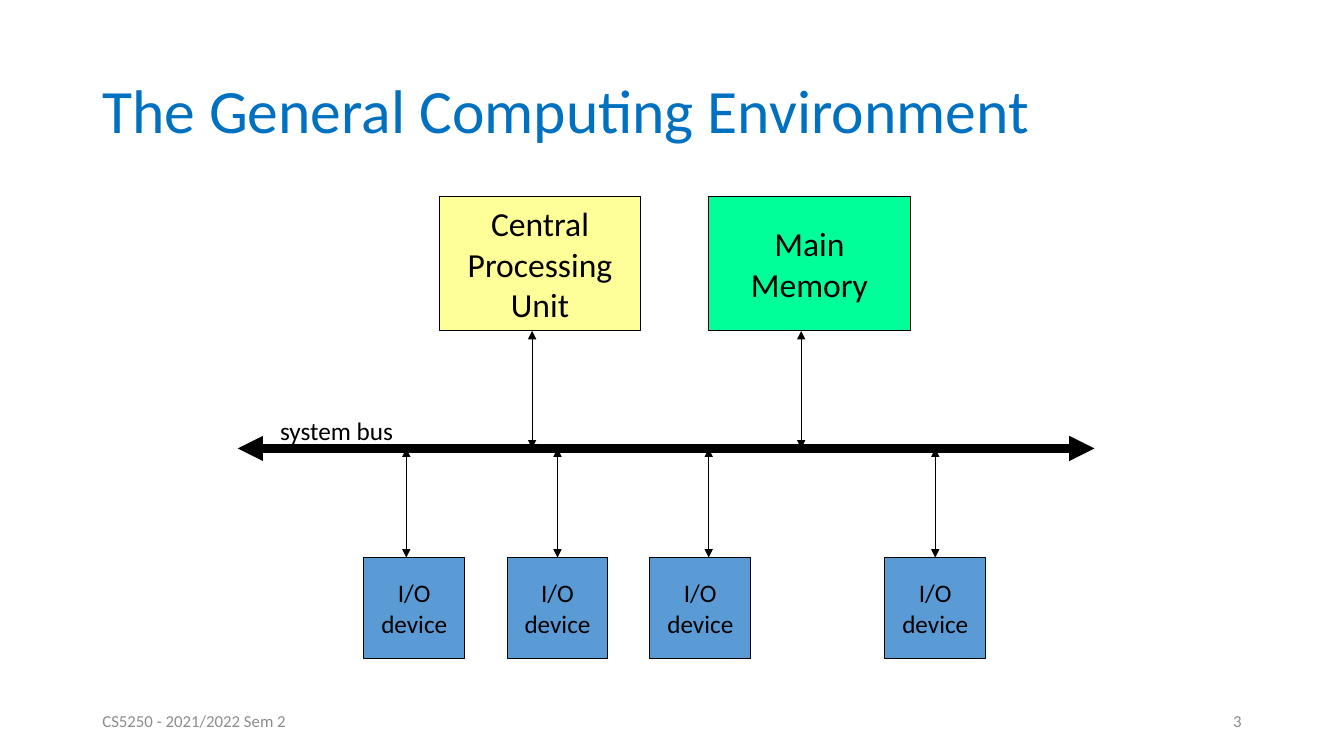
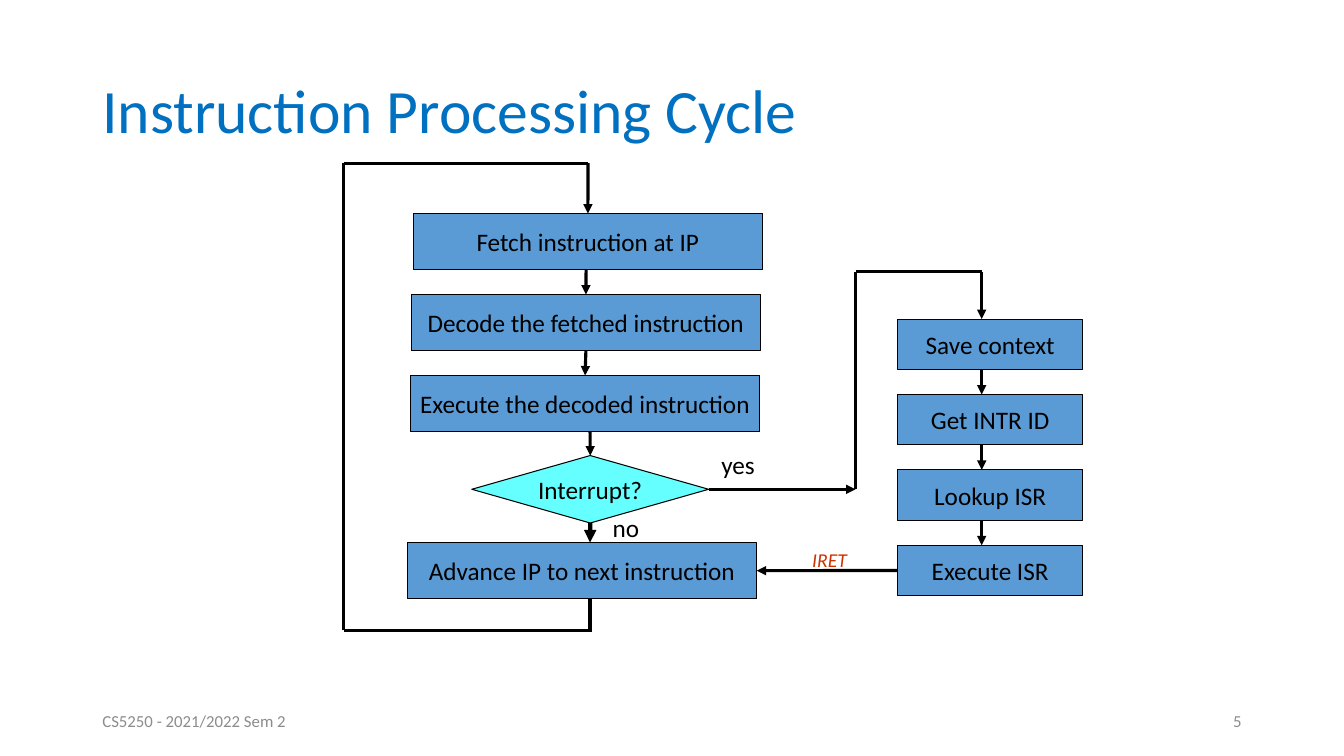
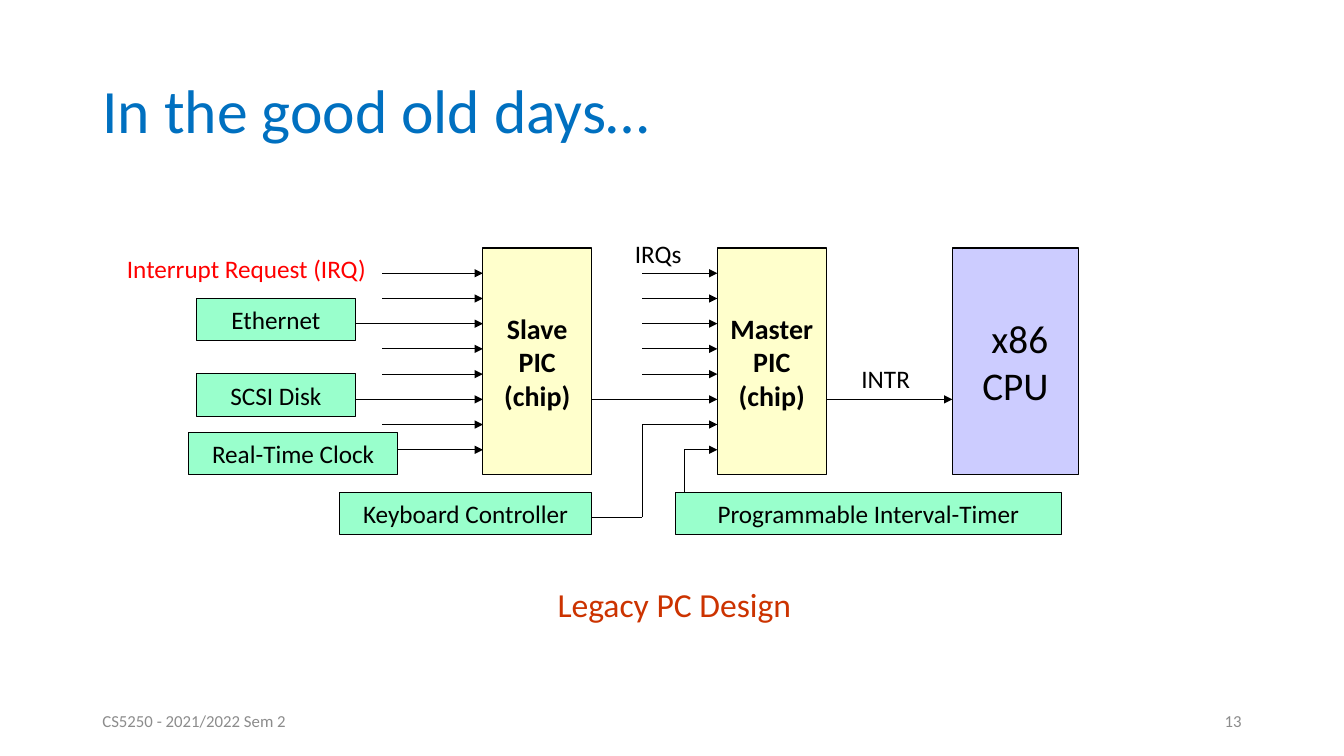
"""Build three slides on computer organisation and interrupt handling."""
from dataclasses import dataclass

from lxml import etree
from pptx import Presentation
from pptx.dml.color import RGBColor
from pptx.enum.shapes import MSO_CONNECTOR, MSO_SHAPE
from pptx.enum.text import MSO_ANCHOR, MSO_AUTO_SIZE, PP_ALIGN
from pptx.oxml.ns import qn
from pptx.presentation import Presentation as Deck
from pptx.shapes.autoshape import Shape
from pptx.shapes.connector import Connector
from pptx.slide import Slide
from pptx.text.text import TextFrame
from pptx.util import Cm, Pt

RECTANGLE = MSO_SHAPE.RECTANGLE
DIAMOND = MSO_SHAPE.DIAMOND
STRAIGHT = MSO_CONNECTOR.STRAIGHT
LEFT, CENTER, RIGHT = PP_ALIGN.LEFT, PP_ALIGN.CENTER, PP_ALIGN.RIGHT
TOP, MIDDLE = MSO_ANCHOR.TOP, MSO_ANCHOR.MIDDLE
FIT_SHAPE = MSO_AUTO_SIZE.SHAPE_TO_FIT_TEXT
SIDE_TOP, SIDE_LEFT, SIDE_BOTTOM, SIDE_RIGHT = range(4)

FONT = "Calibri"
FOOTER = "CS5250 - 2021/2022 Sem 2"
COLORS = {
    "black": "000000",
    "title": "0070C0",
    "footer": "8C8C8C",
    "blue": "5B9BD5",
    "yellow": "FFFF99",
    "green": "00FF99",
    "cyan": "66FFFF",
    "cream": "FFFFCC",
    "lavender": "CCCCFF",
    "mint": "99FFCC",
    "rust": "CC3300",
    "red": "FF0000",
}


@dataclass(frozen=True)
class Style:
    size: float = 18
    color: str = "black"
    bold: bool = False
    italic: bool = False
    align: PP_ALIGN = LEFT
    spacing: float = 1.0


@dataclass(frozen=True)
class Node:
    x: float
    y: float
    width: float
    height: float
    text: str
    fill: str = "blue"
    size: float = 18
    bold: bool = False
    outline: MSO_SHAPE = RECTANGLE


@dataclass(frozen=True)
class Label:
    x: float
    y: float
    width: float
    height: float
    text: str
    style: Style = Style()
    anchor: MSO_ANCHOR = TOP
    wrap: bool = False


@dataclass(frozen=True)
class Link:
    x1: float
    y1: float
    x2: float
    y2: float
    weight: float = 0.75
    head: bool = False
    tail: bool = True


def rgb(name: str) -> RGBColor:
    return RGBColor.from_string(COLORS[name])


def write_text(frame: TextFrame, text: str, style: Style) -> None:
    for index, line in enumerate(text.split("\n")):
        para = frame.add_paragraph() if index else frame.paragraphs[0]
        para.alignment = style.align
        para.line_spacing = style.spacing
        span = para.add_run()
        span.text = line
        span.font.name = FONT
        span.font.size = Pt(style.size)
        span.font.bold = style.bold
        span.font.italic = style.italic
        span.font.color.rgb = rgb(style.color)


def draw_node(page: Slide, node: Node) -> Shape:
    box = page.shapes.add_shape(
        node.outline, Cm(node.x), Cm(node.y), Cm(node.width), Cm(node.height)
    )
    box.shadow.inherit = False
    box.fill.solid()
    box.fill.fore_color.rgb = rgb(node.fill)
    box.line.color.rgb = rgb("black")
    box.line.width = Pt(0.75)
    box.text_frame.word_wrap = False
    box.text_frame.vertical_anchor = MIDDLE
    write_text(box.text_frame, node.text, Style(node.size, bold=node.bold, align=CENTER))
    return box


def draw_label(page: Slide, label: Label) -> None:
    box = page.shapes.add_textbox(
        Cm(label.x), Cm(label.y), Cm(label.width), Cm(label.height)
    )
    frame = box.text_frame
    frame.word_wrap = label.wrap
    frame.vertical_anchor = label.anchor
    if label.anchor == TOP:
        frame.auto_size = FIT_SHAPE
    write_text(frame, label.text, label.style)


def draw_link(page: Slide, link: Link) -> Connector:
    connector = page.shapes.add_connector(
        STRAIGHT, Cm(link.x1), Cm(link.y1), Cm(link.x2), Cm(link.y2)
    )
    connector.line.color.rgb = rgb("black")
    connector.line.width = Pt(link.weight)
    properties = connector.element.spPr
    line = properties.find(qn("a:ln"))
    for tag, shown in (("a:headEnd", link.head), ("a:tailEnd", link.tail)):
        if shown:
            etree.SubElement(line, qn(tag), type="triangle")
    etree.SubElement(properties, qn("a:effectLst"))
    return connector


def add_page(deck: Deck, title: str, number: int) -> Slide:
    page = deck.slides.add_slide(deck.slide_layouts[6])
    heading = Style(44, "title", spacing=0.9)
    small = Style(12, "footer")
    small_right = Style(12, "footer", align=RIGHT)
    for label in (
        Label(2.33, 1.01, 29.21, 3.68, title, heading, MIDDLE, True),
        Label(2.33, 17.65, 7.62, 1.01, FOOTER, small, MIDDLE, True),
        Label(23.92, 17.65, 7.62, 1.01, str(number), small_right, MIDDLE, True),
    ):
        draw_label(page, label)
    return page


def build_environment(deck: Deck) -> None:
    page = add_page(deck, "The General Computing Environment", 3)
    bus_y, unit_y, unit_height, device_y = 11.3, 4.95, 3.39, 14.05

    for x, text, fill, arrow_x in (
        (11.07, "Central\nProcessing\nUnit", "yellow", 13.41),
        (17.86, "Main\nMemory", "green", 20.19),
    ):
        draw_node(page, Node(x, unit_y, 5.08, unit_height, text, fill, 24))
        draw_link(page, Link(arrow_x, unit_y + unit_height, arrow_x, bus_y, head=True))

    for x, arrow_x, centred in (
        (9.17, 10.24, False),
        (12.78, 14.05, True),
        (16.38, 17.86, False),
        (22.3, 23.57, True),
    ):
        device = draw_node(page, Node(x, device_y, 2.54, 2.54, "I/O\ndevice"))
        arrow = draw_link(page, Link(arrow_x, bus_y, arrow_x, device_y, head=True))
        if centred:
            arrow.end_connect(device, SIDE_TOP)

    draw_link(page, Link(5.99, bus_y, 27.58, bus_y, 6, head=True))
    draw_label(page, Label(6.81, 10.34, 3.73, 1.02, "system bus"))


def build_cycle(deck: Deck) -> None:
    page = add_page(deck, "Instruction Processing Cycle", 5)
    weight, heavy = 2.25, 3
    loop_x, loop_top, loop_bottom = 8.66, 4.11, 15.88
    branch_x, branch_top, routine_x = 21.56, 6.85, 24.74
    decision_x, decision_y = 14.87, 12.33

    fetch, decode, execute, advance = [
        draw_node(page, Node(x, y, 8.81, 1.42, text))
        for x, y, text in (
            (10.41, 5.38, "Fetch instruction at IP"),
            (10.36, 7.42, "Decode the fetched instruction"),
            (10.34, 9.46, "Execute the decoded instruction"),
            (10.26, 13.67, "Advance IP to next instruction"),
        )
    ]
    decision = draw_node(
        page, Node(11.89, 11.48, 5.97, 1.7, "Interrupt?", "cyan", outline=DIAMOND)
    )

    draw_link(page, Link(14.82, loop_top, 14.82, 5.38, weight)).end_connect(fetch, SIDE_TOP)
    draw_link(page, Link(14.77, 6.8, 14.77, 7.42, weight)).end_connect(decode, SIDE_TOP)
    to_execute = draw_link(page, Link(14.77, 8.84, 14.75, 9.46, weight))
    to_execute.begin_connect(decode, SIDE_BOTTOM)
    to_execute.end_connect(execute, SIDE_TOP)
    to_decision = draw_link(page, Link(decision_x, 10.88, decision_x, 11.48, weight))
    to_decision.end_connect(decision, SIDE_TOP)
    no_branch = draw_link(page, Link(decision_x, 13.18, decision_x, 13.67, heavy))
    no_branch.begin_connect(decision, SIDE_BOTTOM)
    yes_branch = draw_link(page, Link(17.86, decision_y, branch_x, decision_y, weight))
    yes_branch.begin_connect(decision, SIDE_RIGHT)

    for x1, y1, x2, y2, width in (
        (decision_x, 15.09, decision_x, 15.92, heavy),
        (decision_x, loop_bottom, loop_x, loop_bottom, weight),
        (loop_x, loop_bottom, loop_x, loop_top, weight),
        (loop_x, loop_top, 14.82, loop_top, weight),
        (branch_x, decision_y, branch_x, branch_top, weight),
        (branch_x, branch_top, routine_x, branch_top, weight),
    ):
        draw_link(page, Link(x1, y1, x2, y2, width, tail=False))

    step_top, step_height, pitch = 8.04, 1.27, 1.9
    arrow_start = branch_top
    for index, text in enumerate(
        ("Save context", "Get INTR ID", "Lookup ISR", "Execute ISR")
    ):
        y = step_top + pitch * index
        step = draw_node(page, Node(22.63, y, 4.65, step_height, text))
        draw_link(page, Link(routine_x, arrow_start, routine_x, y, weight))
        arrow_start = y + step_height

    back = draw_link(page, Link(22.63, 14.38, 19.07, 14.38, weight))
    back.begin_connect(step, SIDE_LEFT)
    back.end_connect(advance, SIDE_RIGHT)

    for label in (
        Label(15.19, 12.78, 1.22, 1.02, "no"),
        Label(17.93, 11.2, 1.5, 1.02, "yes"),
        Label(20.22, 13.67, 1.63, 0.84, "IRET", Style(14, "rust", italic=True)),
    ):
        draw_label(page, label)


def build_legacy(deck: Deck) -> None:
    page = add_page(deck, "In the good old days…", 13)
    chip_y, chip_height, chip_width = 6.25, 5.72, 2.74
    slave_x, master_x, cpu_x = 12.17, 18.08, 24
    slave_right, master_right = slave_x + chip_width, master_x + chip_width
    keyboard_x, timer_x, keyboard_y, lower_y = 16.18, 17.25, 13.03, 12.4
    pins = [chip_y + chip_height * number / 9 for number in range(1, 9)]

    for node in (
        Node(slave_x, chip_y, chip_width, chip_height, "Slave\nPIC\n(chip)", "cream", 20, True),
        Node(master_x, chip_y, chip_width, chip_height, "Master\nPIC\n(chip)", "cream", 20, True),
        Node(cpu_x, chip_y, 3.18, chip_height, " x86\nCPU", "lavender", 28),
    ):
        draw_node(page, node)
    for x, y, width, text in (
        (4.95, 7.52, 4.01, "Ethernet"),
        (4.95, 9.42, 4.01, "SCSI Disk"),
        (4.75, 10.9, 5.28, "Real-Time Clock"),
        (8.56, lower_y, 6.35, "Keyboard Controller"),
        (17.02, lower_y, 9.73, "Programmable Interval-Timer"),
    ):
        draw_node(page, Node(x, y, width, 1.07, text, "mint"))

    slave_starts = {2: 8.96, 5: 8.96, 7: 10.03}
    master_starts = {5: slave_right, 7: timer_x}
    for index, y in enumerate(pins):
        draw_link(page, Link(slave_starts.get(index, 9.63), y, slave_x, y))
        draw_link(page, Link(master_starts.get(index, keyboard_x), y, master_x, y))
    draw_link(page, Link(master_right, pins[5], cpu_x, pins[5]))
    for x1, y1, x2, y2 in (
        (slave_right, keyboard_y, keyboard_x, keyboard_y),
        (keyboard_x, keyboard_y, keyboard_x, pins[6]),
        (timer_x, lower_y, timer_x, pins[7]),
    ):
        draw_link(page, Link(x1, y1, x2, y2, tail=False))

    caption = Style(24, "rust", align=CENTER)
    for label in (
        Label(21.46, 9.04, 1.98, 1.02, "INTR"),
        Label(15.75, 5.87, 1.96, 1.02, "IRQs"),
        Label(2.95, 6.27, 6.6, 1.02, "Interrupt Request (IRQ)", Style(color="red")),
        Label(7.75, 14.6, 18.49, 1.27, "Legacy PC Design", caption, wrap=True),
    ):
        draw_label(page, label)


def main() -> None:
    deck = Presentation()
    deck.slide_width, deck.slide_height = Cm(33.87), Cm(19.05)
    build_environment(deck)
    build_cycle(deck)
    build_legacy(deck)
    deck.save("out.pptx")


if __name__ == "__main__":
    main()
